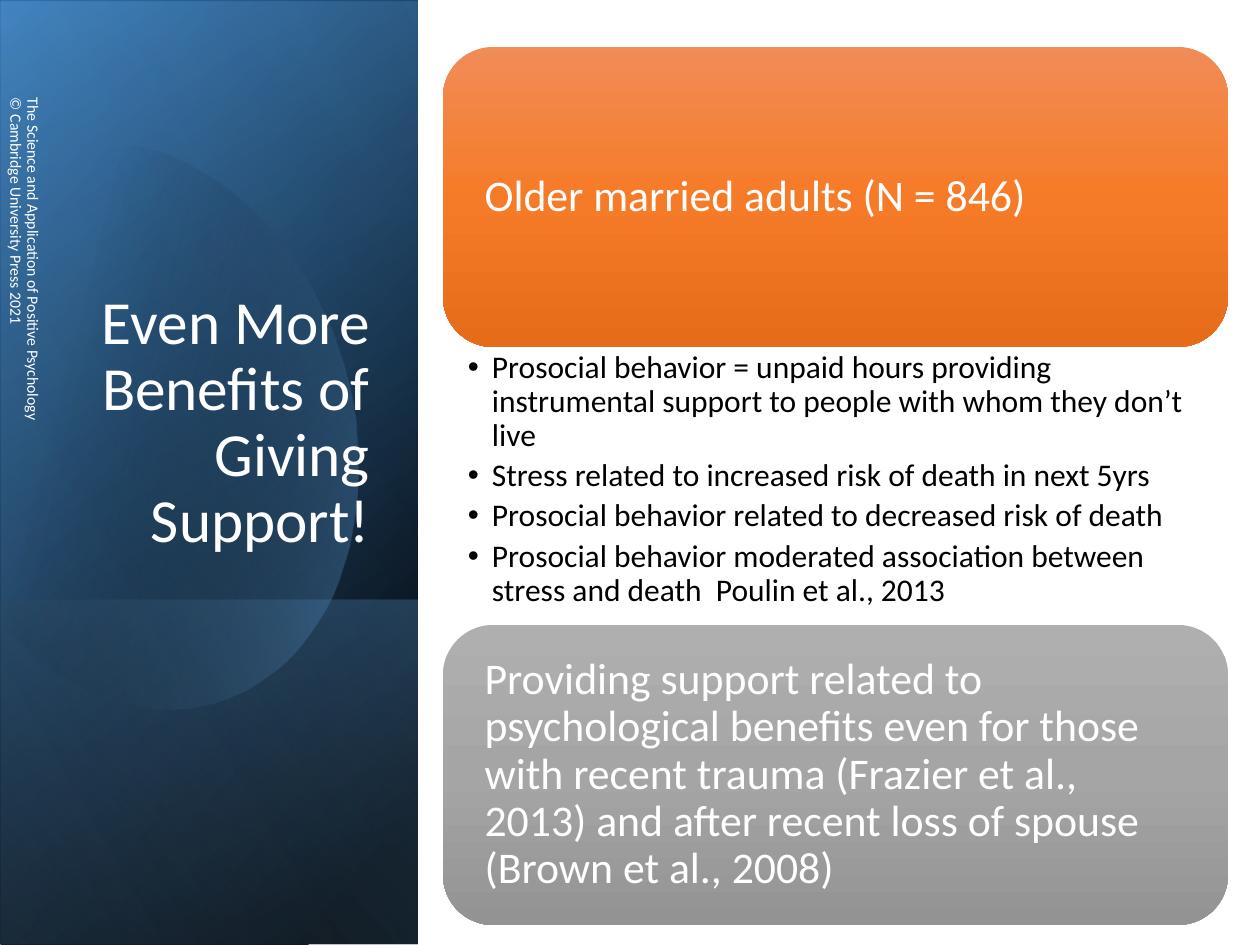
from lxml import etree
from pptx import Presentation
from pptx import util as u
from pptx.dml.color import RGBColor
from pptx.enum import shapes, text
from pptx.oxml.ns import qn

PX = 914400 / 126
FONT = "Calibri"
COLORS = {
    "white": "FFFFFF", "black": "000000",
    "deep_blue": "2E75B6", "blue": "5B9BD5", "pale_blue": "9DC3E6",
    "orange_top": "F18C57", "orange": "F67B28", "orange_low": "E56C19",
    "gray_top": "AFAFAF", "gray": "A5A5A5", "gray_low": "939393",
}
BULLETS = [
    "Prosocial behavior = unpaid hours providing instrumental support to people "
    "with whom they don’t live",
    "Stress related to increased risk of death in next 5yrs",
    "Prosocial behavior related to decreased risk of death",
    "Prosocial behavior moderated association between stress and death  Poulin et al., 2013",
]
# Side panel layers: box, gradient stops (position, color, opacity), angle
PANEL = (-263, 263, 945, 417)
BASE_LAYERS = [
    (PANEL, [(8, "black", 100), (100, "deep_blue", 100)], 50),
    ((-263, 266, 945, 417), [(0, "black", 0), (99, "blue", 46)], 30),
    ((37, 564, 345, 417), [(2, "blue", 29), (100, "black", 30)], 130),
]
TOP_LAYER = (PANEL, [(0, "black", 0), (99, "pale_blue", 11)], 120)
# Glow outline: a pair is a line end, three pairs are a Bezier curve
GLOW_START = (121, 144)
GLOW = [
    [(215, 154), (307, 242), (344, 365)],
    [(387, 519), (330, 669), (215, 702)],
    [(144, 723), (67, 693), (9, 630)],
    [(-4, 615)], [(-32, 209)], [(-19, 194)],
    [(3, 173), (28, 154), (57, 149)],
    [(80, 142), (100, 141), GLOW_START],
]


def px(n):
    return u.Emu(round(n * PX))


def place(sp, box):
    sp.left, sp.top, sp.width, sp.height = map(px, box)


def fill_gradient(sp, stops, angle):
    """Fill with a linear gradient, angle clockwise in degrees, and no line."""
    sp.shadow.inherit = False
    sp.line.fill.background()
    sp.fill.gradient()
    grad = sp._element.spPr.find(qn("a:gradFill"))
    for child in list(grad):
        grad.remove(child)
    grad.set("rotWithShape", "1")
    gs_list = etree.SubElement(grad, qn("a:gsLst"))
    for pos, color, opacity in stops:
        gs = etree.SubElement(gs_list, qn("a:gs"), pos=str(pos * 1000))
        clr = etree.SubElement(gs, qn("a:srgbClr"), val=COLORS[color])
        if opacity < 100:
            etree.SubElement(clr, qn("a:alpha"), val=str(opacity * 1000))
    etree.SubElement(grad, qn("a:lin"), ang=str(angle * 60000), scaled="0")


def add_bullet(p, indent):
    pPr = p._p.get_or_add_pPr()
    pPr.set("marL", str(px(indent)))
    pPr.set("indent", str(-px(indent)))
    etree.SubElement(pPr, qn("a:buFont"), typeface="Arial")
    etree.SubElement(pPr, qn("a:buChar"), char="•")


def write(sp, paragraphs, size, color="white", align=text.PP_ALIGN.LEFT,
          anchor=text.MSO_ANCHOR.MIDDLE, insets=(13, 6, 13, 6), wrap=True,
          after=0, bullet_indent=None):
    tf = sp.text_frame
    tf.auto_size = text.MSO_AUTO_SIZE.NONE
    tf.word_wrap = wrap
    tf.vertical_anchor = anchor
    tf.margin_left, tf.margin_top, tf.margin_right, tf.margin_bottom = map(px, insets)
    for i, line in enumerate(paragraphs):
        p = tf.add_paragraph() if i else tf.paragraphs[0]
        p.text = line
        p.alignment = align
        p.line_spacing = 0.9
        p.space_before = u.Pt(0)
        p.space_after = u.Pt(after)
        if bullet_indent:
            add_bullet(p, bullet_indent)
        for r in p.runs:
            r.font.name = FONT
            r.font.size = u.Pt(size)
            r.font.color.rgb = RGBColor.from_string(COLORS[color])


def add_layer(s, box, stops, angle):
    """Add a mirrored rectangle turned upright for the side panel."""
    sp = s.shapes.add_shape(shapes.MSO_SHAPE.RECTANGLE, *map(px, box))
    sp.rotation = 90
    sp._element.spPr.find(qn("a:xfrm")).set("flipH", "1")
    fill_gradient(sp, stops, angle)


def curve_points(p0, p1, p2, p3, steps=24):
    for i in range(1, steps + 1):
        t = i / steps
        yield tuple((1 - t) ** 3 * a + 3 * (1 - t) ** 2 * t * b
                    + 3 * (1 - t) * t ** 2 * c + t ** 3 * d
                    for a, b, c, d in zip(p0, p1, p2, p3))


def add_glow(s):
    points = [GLOW_START]
    for segment in GLOW:
        points += curve_points(points[-1], *segment) if len(segment) == 3 else segment
    builder = s.shapes.build_freeform(*GLOW_START, scale=PX)
    builder.add_line_segments(points[1:], close=True)
    fill_gradient(builder.convert_to_shape(), [(29, "black", 0), (100, "blue", 43)], 14)


def add_card(s, top, line, name):
    sp = s.shapes.add_shape(shapes.MSO_SHAPE.ROUNDED_RECTANGLE,
                            *map(px, (443, top, 785, 300)))
    fill_gradient(sp, [(0, name + "_top", 100), (50, name, 100),
                       (100, name + "_low", 100)], 90)
    write(sp, [line], 25, insets=(27, 27, 27, 27))


def bring_to_front(sp):
    sp._element.getparent().append(sp._element)


def main():
    prs = Presentation()
    prs.slide_width, prs.slide_height = px(1260), px(945)
    s = prs.slides.add_slide(prs.slide_layouts[1])
    title, body = s.placeholders

    for layer in BASE_LAYERS:
        add_layer(s, *layer)
    add_glow(s)
    add_layer(s, *TOP_LAYER)

    bring_to_front(title)
    place(title, (60, 232, 323, 330))
    write(title, ["Even More Benefits of Giving Support!"], 35,
          align=text.PP_ALIGN.RIGHT, anchor=text.MSO_ANCHOR.BOTTOM)

    footer = s.shapes.add_textbox(*map(px, (-189, 273, 426, 50)))
    footer.rotation = 90
    write(footer, ["The Science and Application of Positive Psychology \v"
                   "© Cambridge University Press 2021"], 9, wrap=False)

    add_card(s, 47, "Older married adults (N = 846)", "orange")
    bring_to_front(body)
    place(body, (443, 347, 785, 278))
    write(body, BULLETS, 18, color="black", anchor=text.MSO_ANCHOR.TOP,
          insets=(25, 4, 18, 4), after=3.6, bullet_indent=24)
    add_card(s, 625, "Providing support related to psychological benefits even for "
             "those with recent trauma (Frazier et al., 2013) and after recent loss "
             "of spouse (Brown et al., 2008)", "gray")

    prs.save("out.pptx")


if __name__ == "__main__":
    main()
